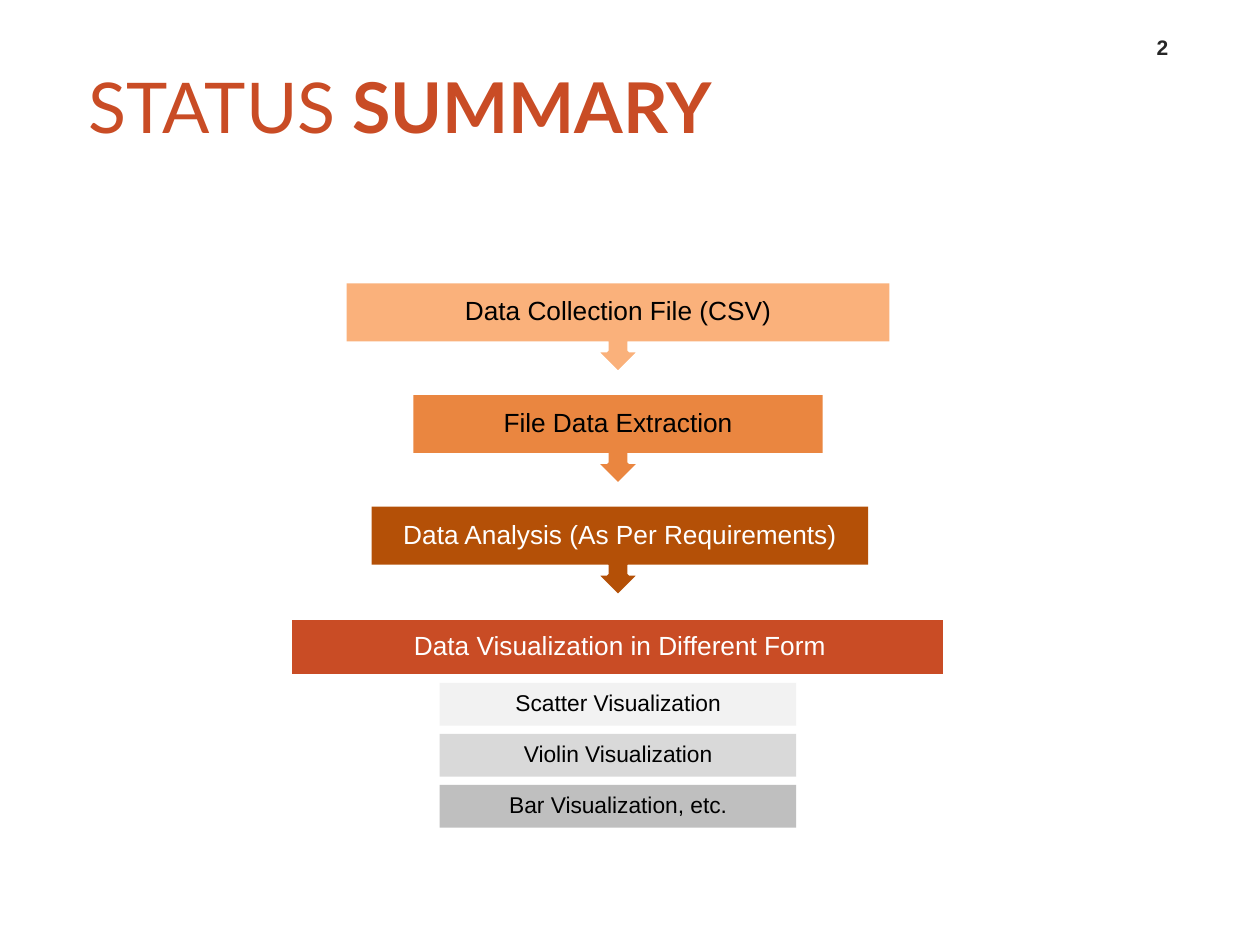
import dataclasses

import pptx
import pptx.dml.color
import pptx.enum.shapes
import pptx.enum.text
import pptx.util

SHAPE = pptx.enum.shapes.MSO_SHAPE
ALIGN = pptx.enum.text.PP_ALIGN
ANCHOR = pptx.enum.text.MSO_ANCHOR


@dataclasses.dataclass(frozen=True)
class Theme:
    accent: str = "C94C25"
    ink: str = "000000"
    paper: str = "FFFFFF"
    number: str = "262626"
    stages: tuple = ("FAB17B", "EA8640", "B45007")
    charts: tuple = ("F2F2F2", "D9D9D9", "BFBFBF")
    title_font: str = "Lato"
    body_font: str = "Arial"
    title_size: int = 40
    stage_size: int = 15
    chart_size: int = 13
    number_size: int = 12
    outline: int = 2


class FlowSlide:
    """Draws a process flow on a page of 100 columns by 75 rows."""

    def __init__(self, deck, theme):
        self.theme = theme
        self.column = deck.slide_width / 100
        self.row = deck.slide_height / 75
        self.page = deck.slides.add_slide(deck.slide_layouts[6])

    def place(self, left, top, width, height):
        units = (self.column, self.row, self.column, self.row)
        return [round(n * unit) for n, unit in zip((left, top, width, height), units)]

    def label(self, box, spans, size, color, font, align, anchor, insets, spacing=1.0):
        frame = box.text_frame
        sides = ("margin_left", "margin_top", "margin_right", "margin_bottom")
        margins = dict(zip(sides, map(pptx.util.Inches, insets)))
        para = frame.paragraphs[0]
        layout = {"word_wrap": True, "vertical_anchor": anchor, **margins}
        for target, values in ((frame, layout), (para, {"alignment": align, "line_spacing": spacing})):
            for name, value in values.items():
                setattr(target, name, value)
        for text, bold in spans:
            span = para.add_run()
            span.text = text
            span.font.color.rgb = pptx.dml.color.RGBColor.from_string(color)
            for name, value in {"size": pptx.util.Pt(size), "name": font, "bold": bold}.items():
                setattr(span.font, name, value)

    def text(self, area, spans, **style):
        box = self.page.shapes.add_textbox(*self.place(*area))
        self.label(box, spans, **style)

    def shape(self, kind, area, fill, outlined=False):
        shape = self.page.shapes.add_shape(kind, *self.place(*area))
        shape.shadow.inherit = False
        shape.fill.solid()
        shape.fill.fore_color.rgb = pptx.dml.color.RGBColor.from_string(fill)
        if outlined:
            shape.line.color.rgb = pptx.dml.color.RGBColor.from_string(self.theme.paper)
            shape.line.width = pptx.util.Pt(self.theme.outline)
        else:
            shape.line.fill.background()
        return shape

    def bar(self, area, fill, words, color, size, inset):
        bar = self.shape(SHAPE.RECTANGLE, area, fill)
        self.label(bar, [(words, False)], size, color, self.theme.body_font,
                   ALIGN.CENTER, ANCHOR.MIDDLE, [inset] * 4, 0.9)

    def stage(self, top, fill, words, color, callout, bar):
        self.shape(SHAPE.DOWN_ARROW_CALLOUT, (callout[0], top, callout[1], 7.1), fill, True)
        self.bar((bar[0], top, bar[1], 4.6), fill, words, color, self.theme.stage_size, 0.12)


def main():
    deck = pptx.Presentation()
    deck.slide_width = pptx.util.Inches(10)
    deck.slide_height = pptx.util.Inches(7.5)
    theme = Theme()
    flow = FlowSlide(deck, theme)

    flow.text((5, 4, 53.3, 8.7), [("STATUS", False), (" SUMMARY", True)],
              size=theme.title_size, color=theme.accent, font=theme.title_font,
              align=ALIGN.LEFT, anchor=ANCHOR.MIDDLE, insets=(0.2, 0.05, 0, 0.05))
    flow.text((89.5, 1.9, 5.5, 3.3), [("2", True)],
              size=theme.number_size, color=theme.number, font=theme.body_font,
              align=ALIGN.CENTER, anchor=ANCHOR.BOTTOM, insets=(0.1, 0.05, 0.1, 0.05))

    first_stage, stage_step = 22.5, 8.86
    wide, narrow, analysis = (27.5, 43.1), (32.8, 32.5), (29.5, 39.4)
    stages = (
        ("Data Collection File (CSV)", theme.ink, wide, wide),
        ("File Data Extraction", theme.ink, narrow, narrow),
        ("Data Analysis (As Per Requirements)", theme.paper, narrow, analysis),
    )
    for index, (fill, stage) in enumerate(zip(theme.stages, stages)):
        flow.stage(first_stage + index * stage_step, fill, *stage)

    last_stage = first_stage + len(stages) * stage_step
    flow.shape(SHAPE.RECTANGLE, (23, last_stage, 52, 4.6), theme.accent, True)
    flow.bar((24.2, last_stage + 1, 50, 2.5), theme.accent,
             "Data Visualization in Different Form", theme.paper, theme.stage_size, 0.12)

    charts = ("Scatter Visualization", "Violin Visualization", "Bar Visualization, etc.")
    for index, (fill, words) in enumerate(zip(theme.charts, charts)):
        flow.bar((34.9, 54.2 + index * 4.05, 28.3, 3.4), fill, words,
                 theme.ink, theme.chart_size, 0.1)

    deck.save("out.pptx")


if __name__ == "__main__":
    main()
